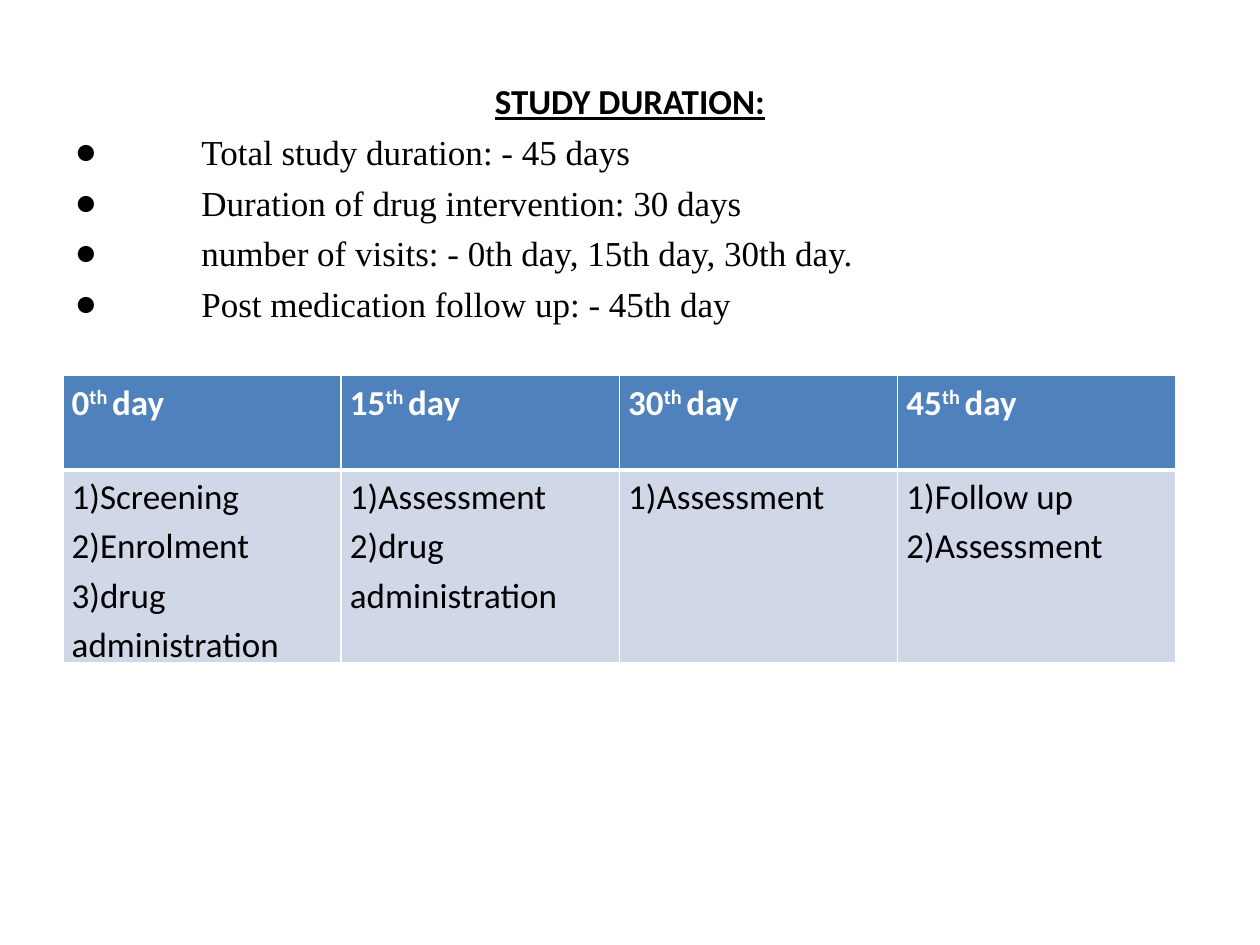
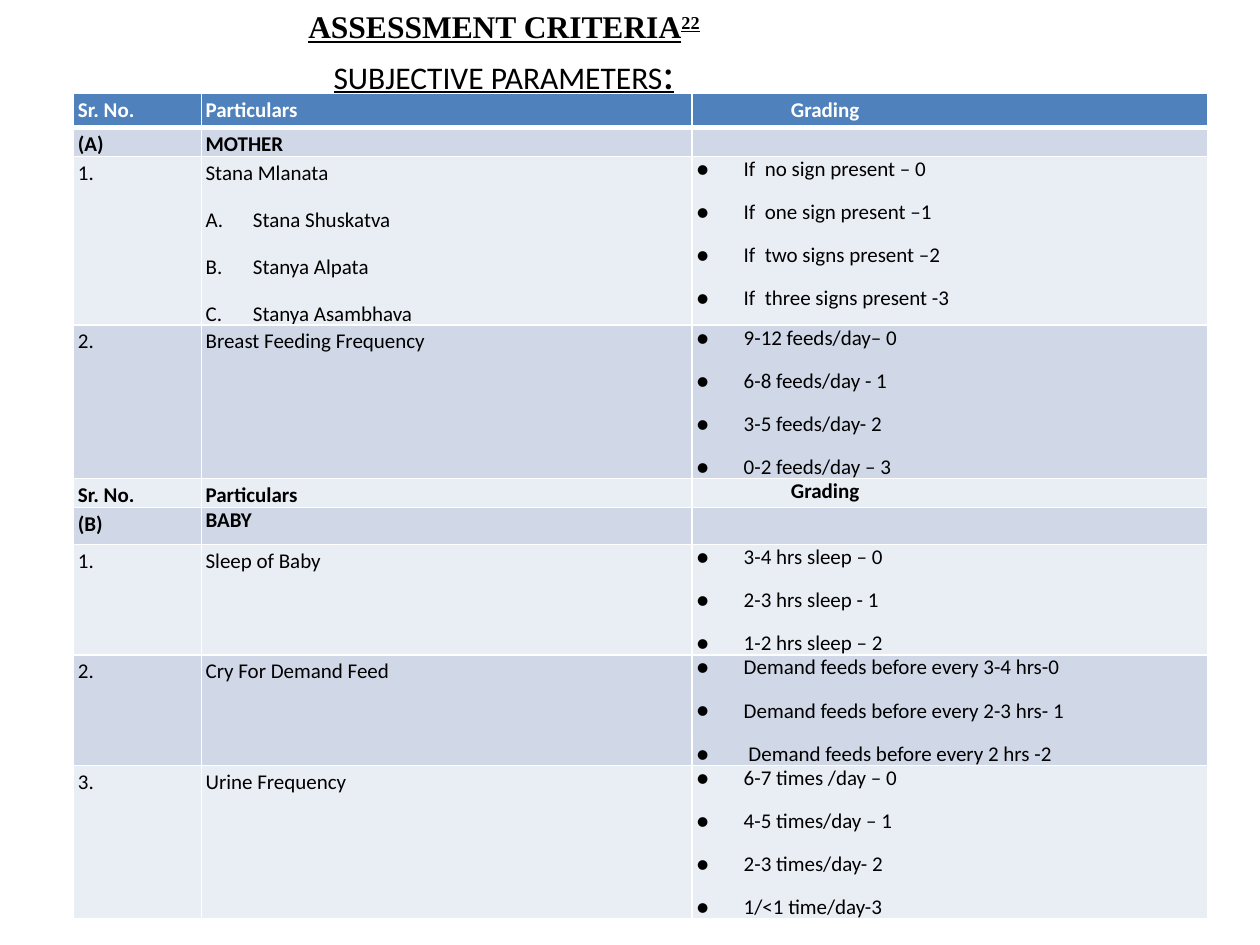
import pptx
import pptx.dml.color
import pptx.enum.text
import pptx.oxml.ns
import pptx.util
from lxml import etree

Pt = pptx.util.Pt
qn = pptx.oxml.ns.qn
ALIGN = pptx.enum.text.PP_ALIGN
ANCHOR = pptx.enum.text.MSO_ANCHOR

COLOURS = {
    "text": "000000",
    "white": "FFFFFF",
    "header": "4F81BD",
    "band_dark": "D0D8E8",
    "band_light": "E9EDF4",
}
SERIF = "Times New Roman"
SANS = "Calibri"
HANGING = 27  # indent of list items in table cells
LINES = 1.15  # line spacing of plain cells

VISITS = [
    ("0", ["1)Screening", "2)Enrolment", "3)drug administration"]),
    ("15", ["1)Assessment", "2)drug administration"]),
    ("30", ["1)Assessment"]),
    ("45", ["1)Follow up", "2)Assessment"]),
]
DURATIONS = [
    "Total study duration: - 45 days",
    "Duration of drug intervention: 30 days",
    "number of visits: - 0th day, 15th day, 30th day.",
    "Post medication follow up: - 45th day",
]

# Each row: height, number, particulars, lettered signs, grades
HEADINGS = ("Sr. No.", "Particulars", [], "Grading")
CRITERIA = [
    (19.5, *HEADINGS),
    (15.5, "(A)", "MOTHER", [], None),
    (91.5, "1.", "Stana Mlanata",
     ["Stana Shuskatva", "Stanya Alpata", "Stanya Asambhava"],
     ["If  no sign present – 0", "If  one sign present –1",
      "If  two signs present –2", "If  three signs present -3"]),
    (84, "2.", "Breast Feeding Frequency", [],
     ["9-12 feeds/day– 0", "6-8 feeds/day - 1",
      "3-5 feeds/day- 2", "0-2 feeds/day – 3"]),
    (15.5, *HEADINGS),
    (21, "(B)", "BABY", [], None),
    (60.5, "1.", "Sleep of Baby", [],
     ["3-4 hrs sleep – 0", "2-3 hrs sleep - 1", "1-2 hrs sleep – 2"]),
    (60.5, "2.", "Cry For Demand Feed", [],
     ["Demand feeds before every 3-4 hrs-0",
      "Demand feeds before every 2-3 hrs- 1",
      " Demand feeds before every 2 hrs -2"]),
    (68.5, "3.", "Urine Frequency", [],
     ["6-7 times /day – 0", "4-5 times/day – 1",
      "2-3 times/day- 2", "1/<1 time/day-3"]),
]


def rgb(name):
    return pptx.dml.color.RGBColor.from_string(COLOURS[name])


# Text
def add_span(para, text, size, font=SANS, colour="text", bold=False,
             underline=False, raised=False):
    span = para.add_run()
    span.text = text
    span.font.size = Pt(size)
    span.font.name = font
    span.font.bold = bold
    span.font.underline = underline
    span.font.color.rgb = rgb(colour)
    if raised:
        span._r.get_or_add_rPr().set("baseline", "30000")


def next_para(frame):
    """Return the empty first paragraph, or a new one after the others."""
    first = frame.paragraphs[0]
    return frame.add_paragraph() if first.runs else first


def set_indent(para, left, hanging=0):
    props = para._p.get_or_add_pPr()
    props.set("marL", str(Pt(left)))
    props.set("indent", str(-Pt(hanging)))


def add_bullet(para, indent, lettered=False):
    set_indent(para, indent, indent)
    props = para._p.get_or_add_pPr()
    if lettered:
        etree.SubElement(props, qn("a:buAutoNum"), type="alphaUcPeriod")
    else:
        etree.SubElement(props, qn("a:buFont"), typeface=SANS)
        etree.SubElement(props, qn("a:buChar"), char="●")


def add_text_frame(page, left, top, width, height):
    frame = page.shapes.add_textbox(Pt(left), Pt(top), Pt(width), Pt(height)).text_frame
    frame.word_wrap = True
    return frame


# Tables
def add_borders(cell, row):
    """White rules, thick between the header and the first body row."""
    props = cell._tc.get_or_add_tcPr()
    widths = {"lnL": 1, "lnR": 1, "lnT": 3 if row == 1 else 1, "lnB": 3 if row == 0 else 1}
    for position, (side, width) in enumerate(widths.items()):
        line = etree.Element(qn("a:" + side), w=str(Pt(width)))
        fill = etree.SubElement(line, qn("a:solidFill"))
        etree.SubElement(fill, qn("a:srgbClr"), val=COLOURS["white"])
        props.insert(position, line)


def add_table(page, left, top, widths, heights, side_margin):
    frame = page.shapes.add_table(len(heights), len(widths), Pt(left), Pt(top),
                                  Pt(sum(widths)), Pt(sum(heights)))
    table = frame.table
    for column, width in zip(table.columns, widths):
        column.width = Pt(width)
    for index, (row, height) in enumerate(zip(table.rows, heights)):
        row.height = Pt(height)
        band = "header" if index == 0 else "band_dark" if index % 2 else "band_light"
        for cell in row.cells:
            cell.margin_left = cell.margin_right = Pt(side_margin)
            cell.margin_top = cell.margin_bottom = 0
            cell.fill.solid()
            cell.fill.fore_color.rgb = rgb(band)
            add_borders(cell, index)
    return table


def add_cell_para(cell, after=0, spacing=None):
    para = next_para(cell.text_frame)
    para.space_after = Pt(after)
    if spacing:
        para.line_spacing = spacing
    return para


def add_list(cell, items, spacing=None, lettered=False):
    for item in items:
        para = add_cell_para(cell, 10, spacing)
        add_bullet(para, HANGING, lettered)
        add_span(para, item, 12)


# Slides
def build_duration(page):
    frame = add_text_frame(page, 36, 42, 648, 160)
    heading = next_para(frame)
    heading.alignment = ALIGN.CENTER
    add_span(heading, "STUDY DURATION:", 20, bold=True, underline=True)
    for duration in DURATIONS:
        para = next_para(frame)
        para.space_before = Pt(5)
        add_bullet(para, 72)
        add_span(para, duration, 20, SERIF)

    table = add_table(page, 36, 214.5, [159] * len(VISITS), [54, 54], 5)
    for column, (day, tasks) in enumerate(VISITS):
        para = add_cell_para(table.cell(0, column), spacing=LINES)
        para.alignment = ALIGN.JUSTIFY
        for text, raised in ((day, False), ("th ", True), ("day", False)):
            add_span(para, text, 20, colour="white", bold=True, raised=raised)
        for task in tasks:
            para = add_cell_para(table.cell(1, column), spacing=LINES)
            para.alignment = ALIGN.JUSTIFY
            add_span(para, task, 20)


def build_criteria(page):
    frame = add_text_frame(page, 48, 0, 480, 60)
    frame.vertical_anchor = ANCHOR.MIDDLE
    title = next_para(frame)
    title.alignment = ALIGN.CENTER
    add_span(title, "ASSESSMENT CRITERIA", 18, SERIF, bold=True, underline=True)
    add_span(title, "22", 18, SERIF, bold=True, underline=True, raised=True)
    title.add_line_break()
    add_span(title, "SUBJECTIVE PARAMETERS", 18, underline=True)
    add_span(title, ":", 25.2, underline=True)

    heights = [row[0] for row in CRITERIA]
    table = add_table(page, 42, 53.5, [73, 280.5, 294.5], heights, 2.5)
    for index, (_, number, particulars, signs, grades) in enumerate(CRITERIA):
        number_cell, particulars_cell, grade_cell = table.rows[index].cells
        look = {"size": 12, "bold": not isinstance(grades, list),
                "colour": "white" if index == 0 else "text"}
        add_span(add_cell_para(number_cell, 10, LINES), number, **look)
        spacing = None if particulars == "BABY" else LINES
        add_span(add_cell_para(particulars_cell, 10, spacing), particulars, **look)
        add_list(particulars_cell, signs, LINES, lettered=True)

        if grades is None:
            # Keeps the empty cell from stretching its row
            para = add_cell_para(grade_cell)
            etree.SubElement(para._p, qn("a:endParaRPr"), sz="1200")
        elif isinstance(grades, str):
            para = add_cell_para(grade_cell, 10, LINES if index == 0 else None)
            set_indent(para, 54)
            add_span(para, grades, **look)
        else:
            add_list(grade_cell, grades)


def main():
    deck = pptx.Presentation()
    deck.slide_width, deck.slide_height = Pt(720), Pt(540)
    blank = deck.slide_layouts[6]
    for build in (build_duration, build_criteria):
        build(deck.slides.add_slide(blank))
    deck.save("out.pptx")


if __name__ == "__main__":
    main()
